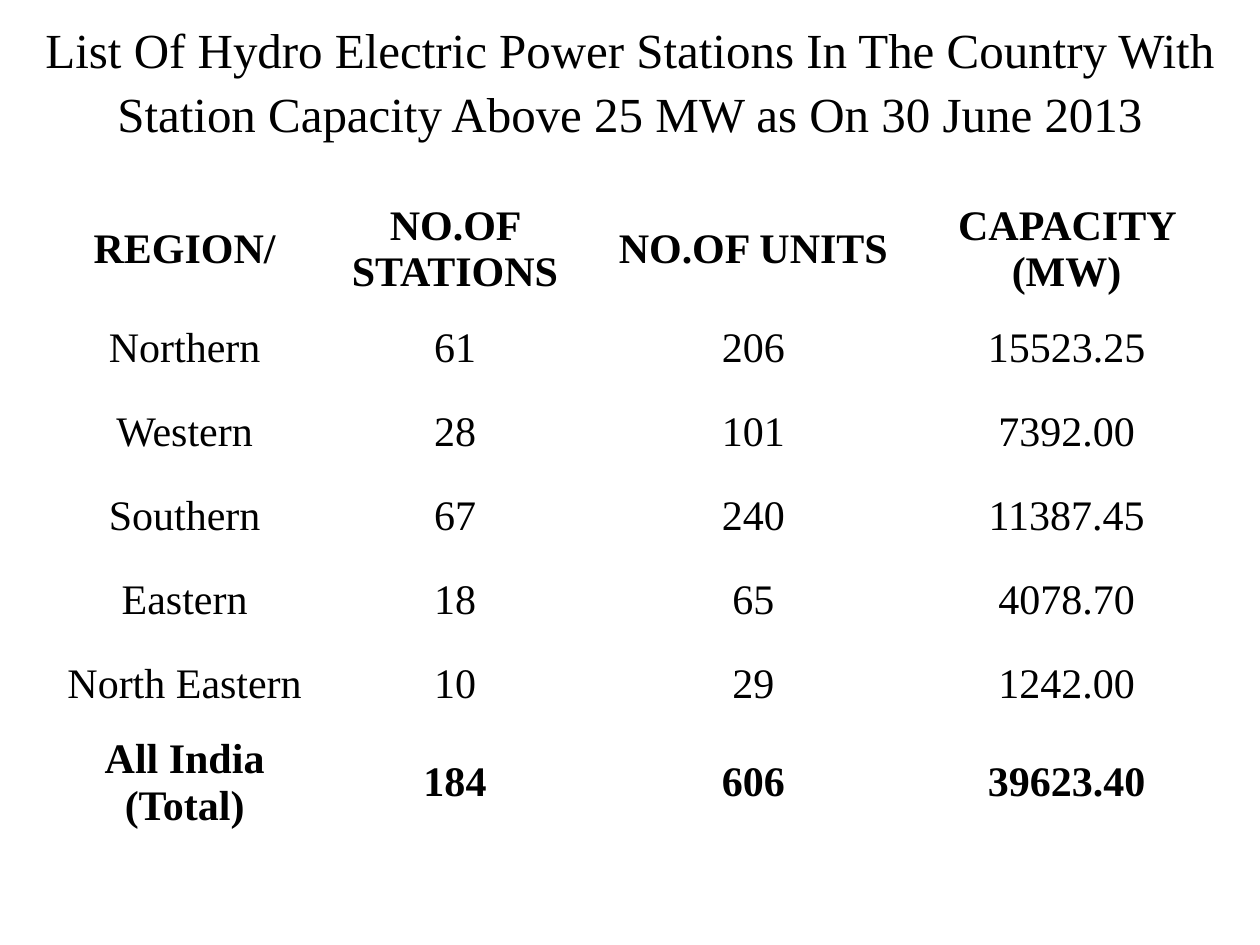
from dataclasses import dataclass

from pptx import Presentation
from pptx.dml.color import RGBColor
from pptx.enum import text
from pptx.util import Pt


@dataclass
class Theme:
    font: str = "Times New Roman"
    ink: RGBColor = RGBColor(0, 0, 0)
    title: int = 28
    body: int = 24


class Deck:
    def __init__(self, theme):
        self.theme = theme
        self.file = Presentation()
        self.file.slide_width, self.file.slide_height = Pt(720), Pt(540)
        self.slide = self.file.slides.add_slide(self.file.slide_layouts[6])

    def style(self, para, words, size, bold=False):
        para.text = words
        para.alignment = text.PP_ALIGN.CENTER
        font = para.font
        font.name, font.size, font.bold = self.theme.font, Pt(size), bold
        font.color.rgb = self.theme.ink

    def title(self, words, *area):
        box = self.slide.shapes.add_textbox(*map(Pt, area))
        frame = box.text_frame
        frame.word_wrap = True
        frame.vertical_anchor = text.MSO_ANCHOR.MIDDLE
        para = frame.paragraphs[0]
        self.style(para, words, self.theme.title)
        para.line_spacing = 1.08

    def table(self, data, left, top, widths, heights):
        area = map(Pt, (left, top, sum(widths), sum(heights)))
        grid = self.slide.shapes.add_table(len(data), len(widths), *area).table
        grid.first_row = grid.horz_banding = False
        for col, width in zip(grid.columns, widths):
            col.width = Pt(width)
        ends = (0, len(data) - 1)
        for i, (row, height) in enumerate(zip(data, heights)):
            grid.rows[i].height = Pt(height)
            for j, words in enumerate(row):
                cell = grid.cell(i, j)
                cell.fill.background()
                cell.vertical_anchor = text.MSO_ANCHOR.MIDDLE
                para = cell.text_frame.paragraphs[0]
                self.style(para, words, self.theme.body, i in ends)
        style = grid._tbl.tblPr.find("{*}tableStyleId")
        style.text = "{2D5ABB26-0587-4C30-8999-92F81FD0307C}"


def main():
    deck = Deck(Theme())
    deck.title(
        "List Of Hydro Electric Power Stations In The Country With "
        "Station Capacity Above 25 MW as On 30 June 2013",
        0, 0, 720, 90,
    )
    data = [
        ("REGION/", "NO.OF STATIONS", "NO.OF UNITS", "CAPACITY (MW)"),
        ("Northern", "61", "206", "15523.25"),
        ("Western", "28", "101", "7392.00"),
        ("Southern", "67", "240", "11387.45"),
        ("Eastern", "18", "65", "4078.70"),
        ("North Eastern", "10", "29", "1242.00"),
        ("All India (Total)", "184", "606", "39623.40"),
    ]
    deck.table(data, 24, 110, (163, 146, 195, 163), [59] + [48] * 5 + [59])
    deck.file.save("out.pptx")


if __name__ == "__main__":
    main()
